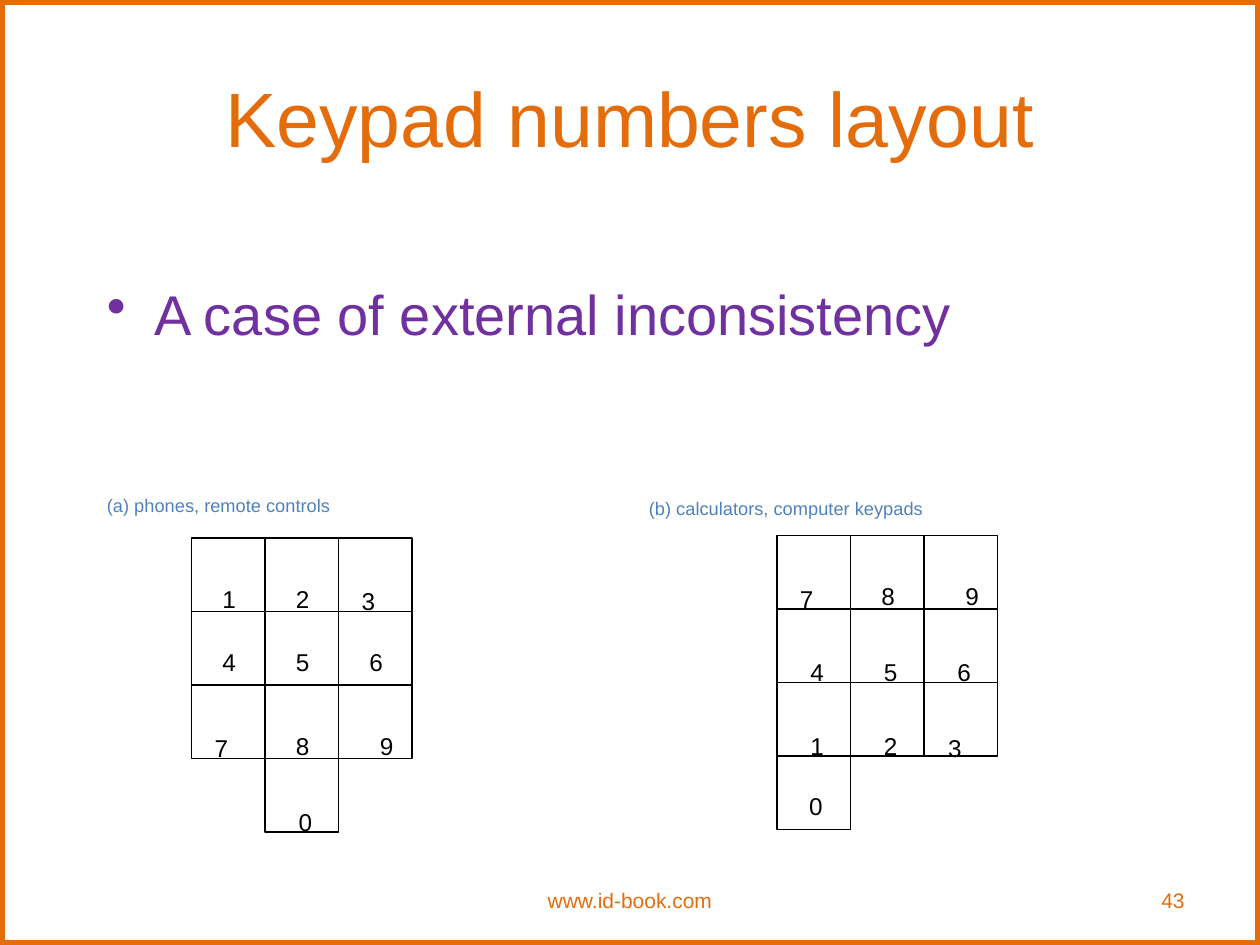
import pptx
import pptx.util
import pptx.dml.color
import pptx.enum.shapes
import pptx.enum.text
from lxml import etree

PX = 9525
COLORS = {"orange": "E46C0A", "purple": "7030A0", "blue": "4F81BD", "black": "000000"}
ALIGN = pptx.enum.text.PP_ALIGN
ANCHOR = pptx.enum.text.MSO_ANCHOR
CELL = 56
DIGIT_BOX = (37, 48)

deck = pptx.Presentation()
deck.slide_width, deck.slide_height = 960 * PX, 720 * PX
slide = deck.slides.add_slide(deck.slide_layouts[5])


def write(holder, box, text, size, color, align=ALIGN.LEFT, anchor=ANCHOR.TOP,
          wrap=True, subscript=False):
    """Place a text holder and fill it with one formatted run."""
    holder.left, holder.top, holder.width, holder.height = (n * PX for n in box)
    frame = holder.text_frame
    frame.word_wrap = wrap
    frame.vertical_anchor = anchor
    if not wrap:
        frame.auto_size = pptx.enum.text.MSO_AUTO_SIZE.SHAPE_TO_FIT_TEXT
    paragraph = frame.paragraphs[0]
    paragraph.alignment = align
    run = paragraph.add_run()
    run.text = text
    run.font.name = "Arial"
    run.font.size = pptx.util.Pt(size)
    run.font.color.rgb = pptx.dml.color.RGBColor.from_string(COLORS[color])
    if subscript:
        run.font._element.set("baseline", "-33000")
    return paragraph


def outline(left, top, width, height, color, weight):
    rect = slide.shapes.add_shape(pptx.enum.shapes.MSO_SHAPE.RECTANGLE,
                                  left * PX, top * PX, width * PX, height * PX)
    rect.shadow.inherit = False
    rect.fill.background()
    rect.line.color.rgb = pptx.dml.color.RGBColor.from_string(COLORS[color])
    rect.line.width = pptx.util.Pt(weight)


outline(0, 0, 960, 720, "orange", 6)
write(slide.shapes.title, (48, 29, 864, 120), "Keypad numbers layout", 44, "orange",
      ALIGN.CENTER, ANCHOR.MIDDLE)

point = write(slide.shapes.add_textbox(0, 0, 0, 0), (72, 208, 840, 432),
              "A case of external inconsistency", 32, "purple")
indent = point._p.get_or_add_pPr()
indent.set("marL", str(36 * PX))
indent.set("indent", str(-36 * PX))
bullet = etree.SubElement(indent, pptx.oxml.ns.qn("a:buChar"))
bullet.set("char", "•")

# Each key: digit, column, row, offset of its label inside the cell
keypads = [
    ((146, 410), (72, 354, 316, 38), "(a) phones, remote controls", [
        ("1", 0, 0, 14, 6), ("2", 1, 0, 14, 6), ("3", 2, 0, 8, 8),
        ("4", 0, 1, 14, -2), ("5", 1, 1, 14, -2), ("6", 2, 1, 14, -2),
        ("7", 0, 2, 8, 8), ("8", 1, 2, 14, 6), ("9", 2, 2, 22, 6),
        ("0", 1, 3, 16, 8)]),
    ((592, 408), (485, 356, 383, 38), "(b) calculators, computer keypads", [
        ("7", 0, 0, 8, 8), ("8", 1, 0, 14, 6), ("9", 2, 0, 22, 6),
        ("4", 0, 1, 16, 8), ("5", 1, 1, 16, 8), ("6", 2, 1, 16, 8),
        ("1", 0, 2, 16, 8), ("2", 1, 2, 16, 8), ("3", 2, 2, 9, 10),
        ("0", 0, 3, 15, -2)]),
]
for (pad_left, pad_top), caption_box, caption, keys in keypads:
    for digit, column, row, dx, dy in keys:
        left, top = pad_left + column * CELL, pad_top + row * CELL
        outline(left, top, CELL, CELL, "black", 0.75)
        write(slide.shapes.add_textbox(0, 0, 0, 0), (left + dx, top + dy, *DIGIT_BOX),
              digit, 24, "black", wrap=False, subscript=True)
    write(slide.shapes.add_textbox(0, 0, 0, 0), caption_box, caption, 18, "blue",
          wrap=False, subscript=True)

for box, text, align in [((688, 667, 224, 38), "43", ALIGN.RIGHT),
                         ((328, 667, 304, 38), "www.id-book.com", ALIGN.CENTER)]:
    write(slide.shapes.add_textbox(0, 0, 0, 0), box, text, 12, "orange",
          align, ANCHOR.MIDDLE)

deck.save("out.pptx")
